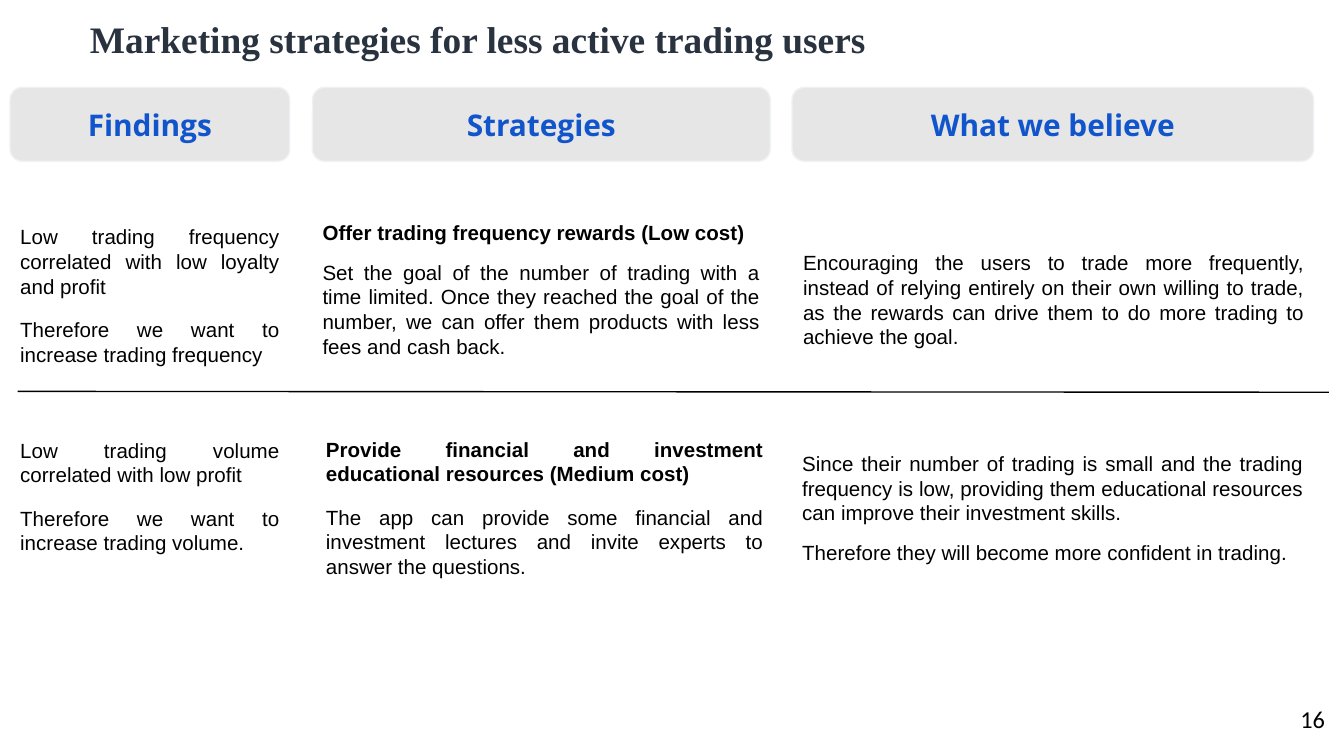
from lxml import etree
from pptx import Presentation
from pptx import util as u
from pptx.dml.color import RGBColor
from pptx.enum import shapes, text
from pptx.oxml.ns import qn

PX = 5715  # EMU in one px, 160 px to the inch

INK = RGBColor(0x29, 0x32, 0x3F)
BLACK = RGBColor(0, 0, 0)
BLUE = RGBColor(0x11, 0x55, 0xCC)
GREY = RGBColor(0xE7, 0xE6, 0xE6)
EDGE = RGBColor(0xEE, 0xF2, 0xF5)

ALIGN = text.PP_ALIGN
ANCHOR = text.MSO_ANCHOR

# Column heads: label, left, width
HEADS = [("Findings", 12, 333), ("Strategies", 372, 545), ("What we believe", 943, 621)]

# Body notes: box, vertical inset, space before, bold first line, paragraphs
NOTES = [
    ((12, 261, 333, 182), 6, 10, False, [
        "Low trading frequency correlated with low loyalty and profit",
        "Therefore we want to increase trading frequency"]),
    ((372, 250, 545, 190), 12, 8, True, [
        "Offer trading frequency rewards (Low cost)",
        "Set the goal of the number of trading with a time limited. Once they reached "
        "the goal of the number, we can offer them products with less fees and cash back."]),
    ((944, 286, 621, 142), 12, 8, False, [
        "Encouraging the users to trade more frequently, instead of relying entirely on "
        "their own willing to trade, as the rewards can drive them to do more trading to "
        "achieve the goal."]),
    ((12, 515, 333, 154), 6, 10, False, [
        "Low trading volume correlated with low profit",
        "Therefore we want to increase trading volume."]),
    ((376, 508, 545, 195), 12, 10, True, [
        "Provide financial and investment educational resources (Medium cost)",
        "The app can provide some financial and investment lectures and invite experts "
        "to answer the questions."]),
    ((943, 525, 621, 160), 12, 8, False, [
        "Since their number of trading is small and the trading frequency is low, "
        "providing them educational resources can improve their investment skills.",
        "Therefore they will become more confident in trading."]),
]


def px(*nums):
    return [u.Emu(n * PX) for n in nums]


def write(shape, paras, size=11, font="Arial", color=BLACK, bold=False, lead=False,
          align=ALIGN.JUSTIFY, anchor=ANCHOR.TOP, inset=(12, 12), before=0):
    """Fill a shape with paragraphs; lead makes the first one bold."""
    frame = shape.text_frame
    frame.word_wrap = True
    frame.auto_size = text.MSO_AUTO_SIZE.NONE
    frame.vertical_anchor = anchor
    frame.margin_left, frame.margin_top = px(*inset)
    frame.margin_right, frame.margin_bottom = px(*inset)
    for i, line in enumerate(paras):
        para = frame.paragraphs[0] if i == 0 else frame.add_paragraph()
        para.alignment = align
        para.space_before = u.Pt(before)
        run = para.add_run()
        run.text = line
        run.font.name, run.font.size = font, u.Pt(size)
        run.font.bold = bold or (lead and i == 0)
        run.font.color.rgb = color


def add_title(slide, box):
    title = slide.shapes.title
    title.left, title.top, title.width, title.height = px(*box)
    write(title, ["Marketing strategies for less active trading users"], size=20,
          font="Times New Roman", color=INK, bold=True, inset=(16, 8))


def add_heads(slide, top, height):
    for label, left, width in HEADS:
        head = slide.shapes.add_shape(shapes.MSO_SHAPE.ROUNDED_RECTANGLE,
                                      *px(left, top, width, height))
        head.shadow.inherit = False
        head.fill.solid()
        head.fill.fore_color.rgb = GREY
        head.line.color.rgb = EDGE
        head.line.width = u.Pt(0.75)
        write(head, [label], size=16, font="Open Sans", color=BLUE, bold=True,
              align=ALIGN.CENTER, anchor=ANCHOR.MIDDLE)


def add_note(slide, box, inset, before, lead, paras):
    note = slide.shapes.add_textbox(*px(*box))
    write(note, paras, lead=lead, inset=(12, inset), before=before)


def add_rule(slide, *ends):
    rule = slide.shapes.add_connector(shapes.MSO_CONNECTOR.STRAIGHT, *px(*ends))
    rule.line.color.rgb = BLACK
    rule.line.width = u.Pt(0.75)
    etree.SubElement(rule._element.spPr, qn("a:effectLst"))


def add_number(slide, box):
    number = slide.shapes.add_textbox(*px(*box))
    write(number, ["16"], size=13, font="Calibri", align=ALIGN.RIGHT, inset=(16, 8))


def main():
    deck = Presentation()
    deck.slide_width, deck.slide_height = px(1600, 900)
    slide = deck.slides.add_slide(deck.slide_layouts[5])

    add_title(slide, (91, 11, 1491, 88))
    add_heads(slide, 104, 88)
    for note in NOTES:
        add_note(slide, *note)
    add_rule(slide, 21, 466, 1582, 467)  # divider between the two findings
    add_number(slide, (1497, 831, 96, 69))
    deck.save("out.pptx")


if __name__ == "__main__":
    main()
